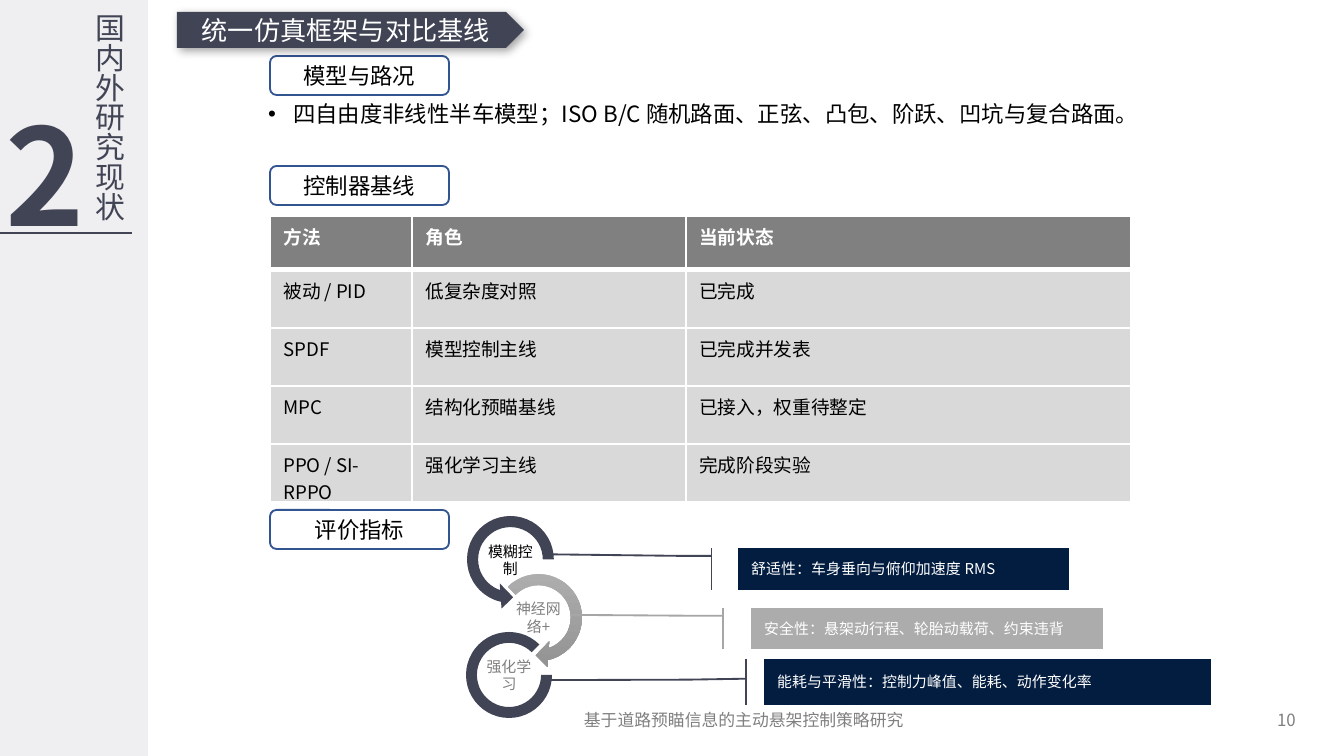
from lxml.etree import SubElement
from pptx import Presentation
from pptx.dml.color import RGBColor
from pptx.enum.shapes import MSO_CONNECTOR, MSO_SHAPE
from pptx.enum.text import MSO_ANCHOR, PP_ALIGN
from pptx.oxml.ns import qn
from pptx.util import Pt

EMU_PER_PX = 914400 / 134.4
FONT = "Noto Sans CJK SC"
COLORS = {
    "slate": "414455", "sidebar": "EFEEF0", "gray": "808080", "black": "000000",
    "white": "FFFFFF", "blue": "325491", "navy": "031D40", "silver": "ACACAC",
    "silver_line": "A6A6A6", "cell": "D9D9D9", "arrow_top": "AFAFAF",
    "arrow_bottom": "939393",
}
TABLE_ROWS = [
    ("方法", "角色", "当前状态"),
    ("被动 / PID", "低复杂度对照", "已完成"),
    ("SPDF", "模型控制主线", "已完成并发表"),
    ("MPC", "结构化预瞄基线", "已接入，权重待整定"),
    ("PPO / SI-RPPO", "强化学习主线", "完成阶段实验"),
]


def px(length):
    return round(length * EMU_PER_PX)


def color(name):
    return RGBColor.from_string(COLORS[name])


def write_text(frame, text, size, color_name, align=PP_ALIGN.LEFT, bold=False):
    frame.word_wrap = True
    paragraph = frame.paragraphs[0]
    paragraph.text = text
    paragraph.alignment = align
    font = paragraph.font
    font.size, font.bold, font.name = Pt(size), bold, FONT
    font.color.rgb = color(color_name)
    properties = paragraph._p.pPr.find(qn("a:defRPr"))
    SubElement(properties, qn("a:ea"), typeface=FONT)


def add_text(slide, box, text, size, color_name, align=PP_ALIGN.LEFT, bold=False):
    frame = slide.shapes.add_textbox(*map(px, box)).text_frame
    write_text(frame, text, size, color_name, align, bold)
    return frame


def add_shape(slide, preset, box, fill, line=None, adjustments=()):
    shape = slide.shapes.add_shape(preset, *map(px, box))
    shape.shadow.inherit = False
    shape.fill.solid()
    shape.fill.fore_color.rgb = color(fill)
    if line:
        shape.line.color.rgb = color(line)
        shape.line.width = Pt(1)
    else:
        shape.line.fill.background()
    for index, value in enumerate(adjustments):
        shape.adjustments[index] = value
    return shape


def add_sidebar(slide, left, top, width, height):
    add_shape(slide, MSO_SHAPE.RECTANGLE, (left, top, width, height), "sidebar")
    rule_y = px(top + 233)
    rule = slide.shapes.add_connector(
        MSO_CONNECTOR.STRAIGHT, px(left - 1), rule_y, px(left + 132), rule_y)
    rule.line.color.rgb = color("slate")
    rule.line.width = Pt(1.5)
    SubElement(rule._element.spPr, qn("a:effectLst"))
    add_text(slide, (left - 8, top + 86, 118, 176), "2", 72, "slate", bold=True)
    frame = add_text(slide, (left + 71, top, 63, 238), "国内外研究现状", 16,
                     "slate", PP_ALIGN.RIGHT)
    frame._txBody.bodyPr.set("vert", "eaVert")


def add_footer(slide, left, top, width, height):
    add_text(slide, (left, top, 489, height), "基于道路预瞄信息的主动悬架控制策略研究",
             9, "gray", PP_ALIGN.CENTER)
    add_text(slide, (left + width - 216, top, 216, height), "10", 9, "gray",
             PP_ALIGN.RIGHT)


def add_title(slide, *box):
    banner = add_shape(slide, MSO_SHAPE.PENTAGON, box, "slate")
    effects = banner._element.spPr.find(qn("a:effectLst"))
    shadow = SubElement(effects, qn("a:outerShdw"), blurRad=str(Pt(5)),
                        dist=str(Pt(2)), dir="2700000", algn="tl", rotWithShape="0")
    tint = SubElement(shadow, qn("a:srgbClr"), val=COLORS["black"])
    SubElement(tint, qn("a:alpha"), val="37000")
    write_text(banner.text_frame, "统一仿真框架与对比基线", 14, "white", PP_ALIGN.CENTER)
    banner.text_frame.vertical_anchor = MSO_ANCHOR.MIDDLE


def add_section_label(slide, left, top, text):
    label = add_shape(slide, MSO_SHAPE.ROUNDED_RECTANGLE, (left, top, 179, 39),
                      "white", "blue")
    write_text(label.text_frame, text, 12, "black", PP_ALIGN.CENTER)
    label.text_frame.vertical_anchor = MSO_ANCHOR.MIDDLE


def add_model_bullet(slide, *box):
    frame = slide.shapes.add_textbox(*map(px, box)).text_frame
    properties = frame.paragraphs[0]._p.get_or_add_pPr()
    properties.set("marL", str(px(25)))
    properties.set("indent", str(px(-25)))
    SubElement(properties, qn("a:buFont"), typeface="Arial")
    SubElement(properties, qn("a:buChar"), char="•")
    write_text(frame, "四自由度非线性半车模型；ISO B/C 随机路面、正弦、凸包、阶跃、凹坑与复合路面。",
               12, "black")


def set_borders(cell, bottom_width):
    properties = cell._tc.get_or_add_tcPr()
    for side, width in (("L", 1), ("R", 1), ("T", 1), ("B", bottom_width)):
        border = SubElement(properties, qn(f"a:ln{side}"), w=str(Pt(width)))
        fill = SubElement(border, qn("a:solidFill"))
        SubElement(fill, qn("a:srgbClr"), val=COLORS["white"])


def add_baseline_table(slide, left, top, width, height):
    table = slide.shapes.add_table(
        len(TABLE_ROWS), 3, px(left), px(top), px(width), px(height)).table
    for column, column_width in zip(table.columns, (142, 274, width - 416)):
        column.width = px(column_width)
    for row_index, texts in enumerate(TABLE_ROWS):
        header = row_index == 0
        table.rows[row_index].height = px(54 if header else (height - 54) / 4)
        for column_index, text in enumerate(texts):
            cell = table.cell(row_index, column_index)
            set_borders(cell, 3 if header else 1)
            cell.fill.solid()
            cell.fill.fore_color.rgb = color("gray" if header else "cell")
            cell.margin_bottom = 0
            write_text(cell.text_frame, text, 10, "white" if header else "black",
                       bold=header)


def add_method_chain(slide, left, top):
    """Three linked rings, each with a method name in its middle."""
    rings = [
        (MSO_SHAPE.LEFT_CIRCULAR_ARROW, (0, 0, 101, 101),
         (0.11, 11.42, 63, 0, 0.125), "模糊控制", "black"),
        (MSO_SHAPE.CIRCULAR_ARROW, (28, 58, 101, 101),
         (0.11, 11.42, 45, 135, 0.125), "神经网络+", "gray"),
        (MSO_SHAPE.BLOCK_ARC, (6, 123, 86, 86),
         (0, 189, 0.127), "强化学习", "gray"),
    ]
    for index, (preset, (x, y, width, height), adjustments, text, ink) in enumerate(rings):
        ring = add_shape(slide, preset, (left + x, top + y, width, height), "slate",
                         adjustments=adjustments)
        if preset == MSO_SHAPE.CIRCULAR_ARROW:
            ring.fill.gradient()
            ring.fill.gradient_angle = 270
            for stop, name in zip(ring.fill.gradient_stops, ("arrow_top", "arrow_bottom")):
                stop.color.rgb = color(name)
        text_left = left + x + (width - 55) / 2
        frame = add_text(slide, (text_left, top + 37 + 57.5 * index, 55, 28), text, 8,
                         ink, PP_ALIGN.CENTER)
        frame.vertical_anchor = MSO_ANCHOR.MIDDLE
        frame.margin_left = frame.margin_right = px(1)
        frame.margin_top = frame.margin_bottom = px(1)


def add_metric_callouts(slide, left, top):
    metrics = [
        ((0, 0, 331, 42), "navy", "slate", (0.19, -0.08, 0.19, -0.17, 0.15, -0.59),
         "舒适性：车身垂向与俯仰加速度 RMS"),
        ((13, 60, 352, 41), "silver", "silver_line",
         (0.19, -0.08, 0.19, -0.17, 0.17, -0.51), "安全性：悬架动行程、轮胎动载荷、约束违背"),
        ((26, 111, 447, 46), "navy", "slate", (0.43, -0.04, 0.45, -0.17, 0.46, -0.48),
         "能耗与平滑性：控制力峰值、能耗、动作变化率"),
    ]
    for (x, y, width, height), fill, line, adjustments, text in metrics:
        callout = add_shape(slide, MSO_SHAPE.LINE_CALLOUT_2_ACCENT_BAR,
                            (left + x, top + y, width, height), fill, line, adjustments)
        write_text(callout.text_frame, text, 8, "white")
        callout.text_frame.vertical_anchor = MSO_ANCHOR.MIDDLE


def main():
    presentation = Presentation()
    presentation.slide_width, presentation.slide_height = px(1344), px(756)
    slide = presentation.slides.add_slide(presentation.slide_layouts[6])
    add_sidebar(slide, 0, 0, 148, 756)
    add_footer(slide, 499, 703, 810, 34)
    for top, text in ((56, "模型与路况"), (166, "控制器基线"), (510, "评价指标")):
        add_section_label(slide, 270, top, text)
    add_model_bullet(slide, 255, 94, 1017, 67)
    add_baseline_table(slide, 270, 216, 861, 286)
    add_method_chain(slide, 460, 509)
    add_metric_callouts(slide, 738, 548)
    add_title(slide, 177, 12, 347, 36)
    presentation.save("out.pptx")


if __name__ == "__main__":
    main()
